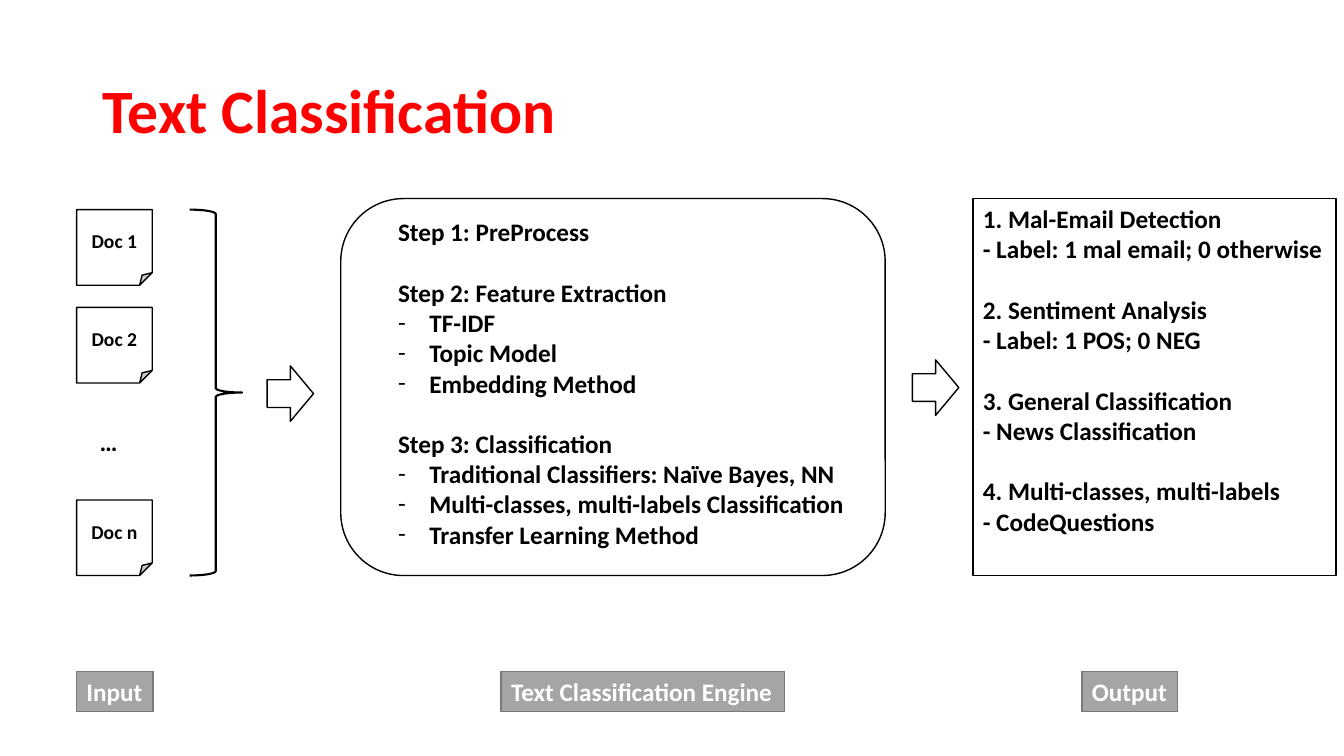
from lxml import etree
from pptx import Presentation
from pptx.dml.color import RGBColor
from pptx.enum.shapes import MSO_SHAPE as Kind
from pptx.enum.text import MSO_ANCHOR as Anchor, PP_ALIGN as Align
from pptx.oxml.ns import qn
from pptx.util import Inches, Pt

RED = RGBColor(255, 0, 0)
BLACK = RGBColor(0, 0, 0)
WHITE = RGBColor(255, 255, 255)
GRAY = RGBColor(0xA5, 0xA5, 0xA5)
EDGE = RGBColor(0x7A, 0x7A, 0x7A)
FONT = "Calibri"
GAP = Pt(21.6)

TITLE = "Text Classification"
DOCS = [("Doc 1", 2.08), ("Doc 2", 3.05), ("Doc n", 4.96)]
STEPS = [
    ("Step 1: PreProcess", []),
    ("Step 2: Feature Extraction",
     ["TF-IDF", "Topic Model", "Embedding Method"]),
    ("Step 3: Classification",
     ["Traditional Classifiers: Naïve Bayes, NN",
      "Multi-classes, multi-labels Classification",
      "Transfer Learning Method"]),
]
TASKS = [
    ("1. Mal-Email Detection", ["- Label: 1 mal email; 0 otherwise"]),
    ("2. Sentiment Analysis", ["- Label: 1 POS; 0 NEG"]),
    ("3. General Classification", ["- News Classification"]),
    ("4. Multi-classes, multi-labels", ["- CodeQuestions"]),
]
LABELS = [("Input", 0.76, 0.76), ("Text Classification Engine", 4.97, 2.81),
          ("Output", 10.73, 0.95)]
ARROWS = [(2.65, 3.63), (9.05, 3.57)]

deck = Presentation()
deck.slide_width, deck.slide_height = Inches(13.33), Inches(7.5)
slide = deck.slides.add_slide(deck.slide_layouts[5])


def place(*box):
    return [Inches(n) for n in box]


def style(para, size=18, color=BLACK, align=Align.LEFT):
    para.alignment = align
    for run in para.runs:
        font = run.font
        font.name, font.size, font.bold = FONT, Pt(size), True
        font.color.rgb = color


def draw(kind, box, fill=WHITE, line=BLACK, width=1):
    shape = slide.shapes.add_shape(kind, *place(*box))
    shape.shadow.inherit = False
    if fill is None:
        shape.fill.background()
    else:
        shape.fill.solid()
        shape.fill.fore_color.rgb = fill
    shape.line.color.rgb = line
    shape.line.width = Pt(width)
    return shape


def write(shape, text, **look):
    frame = shape.text_frame
    frame.word_wrap = False
    frame.text = text
    style(frame.paragraphs[0], **look)


def dash(para):
    props = para._p.get_or_add_pPr()
    props.set("marL", str(Inches(0.31)))
    props.set("indent", str(-Inches(0.31)))
    etree.SubElement(props, qn("a:buFont")).set("typeface", FONT)
    etree.SubElement(props, qn("a:buChar")).set("char", "-")


def fill_list(shape, groups, dashed=False):
    frame = shape.text_frame
    frame.word_wrap = False
    frame.vertical_anchor = Anchor.TOP
    for i, (head, items) in enumerate(groups):
        para = frame.add_paragraph() if i else frame.paragraphs[0]
        para.text = head
        if i:
            para.space_before = GAP
        style(para)
        for item in items:
            para = frame.add_paragraph()
            para.text = item
            style(para)
            if dashed:
                dash(para)


title = slide.shapes.title
title.left, title.top, title.width, title.height = place(0.92, 0.4, 11.5, 1.45)
title.text_frame.text = TITLE
title.text_frame.vertical_anchor = Anchor.MIDDLE
title.text_frame.paragraphs[0].line_spacing = 0.9
style(title.text_frame.paragraphs[0], 44, RED)

for name, top in DOCS:
    doc = draw(Kind.FOLDED_CORNER, (0.76, top, 0.75, 0.75))
    write(doc, name, size=14, align=Align.CENTER)
write(slide.shapes.add_textbox(*place(0.89, 4.18, 0.38, 0.4)), "…")

for name, left, width in LABELS:
    label = draw(Kind.RECTANGLE, (left, 6.66, width, 0.4), GRAY, EDGE)
    write(label, name, color=WHITE)

draw(Kind.RIGHT_BRACE, (1.88, 2.08, 0.52, 3.63), None, width=1.5)
fill_list(draw(Kind.RECTANGLE, (9.65, 1.97, 3.6, 3.74)), TASKS)
draw(Kind.ROUNDED_RECTANGLE, (3.38, 1.97, 5.4, 3.74))
engine = slide.shapes.add_textbox(*place(3.85, 2.1, 4.66, 3.74))
fill_list(engine, STEPS, dashed=True)
for left, top in ARROWS:
    draw(Kind.RIGHT_ARROW, (left, top, 0.46, 0.55))

deck.save("out.pptx")
